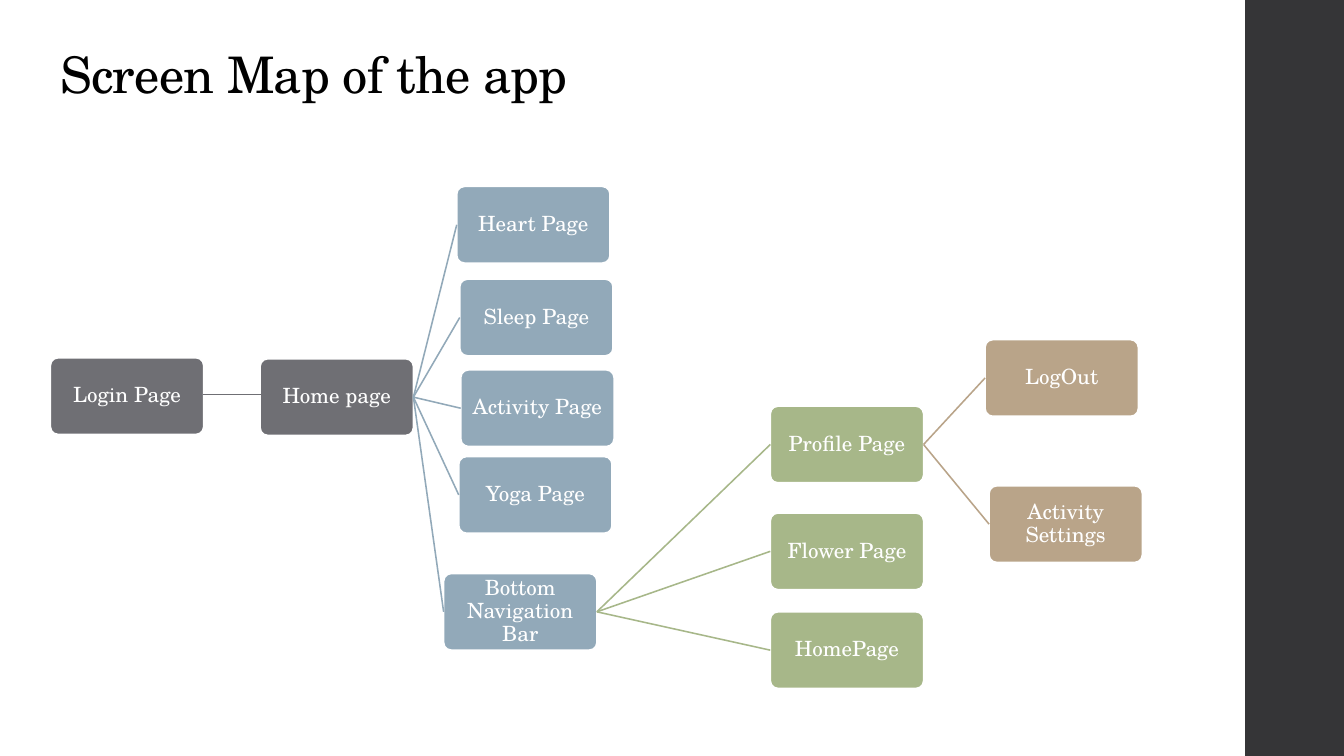
from dataclasses import dataclass

from lxml.etree import SubElement as SubEl
from pptx import Presentation as Deck
from pptx.dml.color import RGBColor as Rgb
from pptx.enum.shapes import MSO_CONNECTOR as Wire, MSO_SHAPE as Form
from pptx.enum.text import MSO_ANCHOR as Anchor, PP_ALIGN as Align
from pptx.oxml.ns import qn
from pptx.util import Emu, Pt

PX = 9144
WIDE, HIGH = 1333, 750
BOX_W, BOX_H = 152, 76


@dataclass(frozen=True)
class Theme:
    font: str = "TeX Gyre Schola"
    ink: str = "000000"
    white: str = "FFFFFF"
    band: str = "353537"
    gray: str = "6F6F74"
    blue: str = "92A9B9"
    green: str = "A7B789"
    tan: str = "B9A489"
    title: int = 36
    label: int = 15
    edge: float = 1.1
    thin: float = 0.75
    lead: float = 0.9


def px(*sizes):
    return [Emu(size * PX) for size in sizes]


class Sketch:
    def __init__(self, slide, theme):
        self.shapes = slide.shapes
        self.theme = theme

    def words(self, frame, text, size, color, align):
        para = frame.paragraphs[0]
        para.alignment = align
        para.line_spacing = self.theme.lead
        run = para.add_run()
        run.text = text
        font = para.font
        font.name = self.theme.font
        font.size = Pt(size)
        font.color.rgb = Rgb.from_string(color)
        return run

    def title(self, text, *area):
        frame = self.shapes.add_textbox(*px(*area)).text_frame
        frame.word_wrap = True
        frame.vertical_anchor = Anchor.BOTTOM
        theme = self.theme
        run = self.words(frame, text, theme.title, theme.ink, Align.LEFT)
        run.font._element.set("spc", "-50")

    def block(self, form, color, *area):
        shape = self.shapes.add_shape(form, *px(*area))
        shape.shadow.inherit = False
        shape.fill.solid()
        shape.fill.fore_color.rgb = Rgb.from_string(color)
        shape.line.fill.background()
        return shape

    def page(self, text, color, left, top):
        theme = self.theme
        shape = self.block(Form.ROUNDED_RECTANGLE, color, left, top, BOX_W, BOX_H)
        shape.adjustments[0] = 0.1
        shape.line.color.rgb = Rgb.from_string(theme.white)
        shape.line.width = Pt(theme.edge)
        frame = shape.text_frame
        frame.word_wrap = True
        frame.vertical_anchor = Anchor.MIDDLE
        (inset,) = px(3)
        frame.margin_left = frame.margin_right = inset
        frame.margin_top = frame.margin_bottom = inset
        self.words(frame, text, theme.label, theme.white, Align.CENTER)
        return shape

    def line(self, color, width, *ends):
        wire = self.shapes.add_connector(Wire.STRAIGHT, *px(*ends))
        wire.line.color.rgb = Rgb.from_string(color)
        wire.line.width = Pt(width)
        SubEl(wire._element.spPr, qn("a:effectLst"))
        return wire

    def link(self, start, end, color):
        wire = self.line(color, self.theme.edge, 0, 0, 0, 0)
        wire.begin_connect(start, 3)
        wire.end_connect(end, 1)


def main():
    deck = Deck()
    deck.slide_width, deck.slide_height = px(WIDE, HIGH)
    theme = Theme()
    sketch = Sketch(deck.slides.add_slide(deck.slide_layouts[6]), theme)

    sketch.block(Form.RECTANGLE, theme.band, 1235, 0, WIDE - 1235, HIGH)
    sketch.title("Screen Map of the app", 50, 26, 1060, 83)

    pages = [
        ("Login Page", None, theme.gray, 50, 355),
        ("Home page", None, theme.gray, 258, 356),
        ("Heart Page", "Home page", theme.blue, 453, 185),
        ("Sleep Page", "Home page", theme.blue, 456, 277),
        ("Activity Page", "Home page", theme.blue, 457, 367),
        ("Yoga Page", "Home page", theme.blue, 455, 453),
        ("Bottom Navigation Bar", "Home page", theme.blue, 440, 569),
        ("Profile Page", "Bottom Navigation Bar", theme.green, 764, 403),
        ("LogOut", "Profile Page", theme.tan, 977, 337),
        ("Activity Settings", "Profile Page", theme.tan, 981, 482),
        ("Flower Page", "Bottom Navigation Bar", theme.green, 764, 509),
        ("HomePage", "Bottom Navigation Bar", theme.green, 764, 607),
    ]
    drawn = {}
    for name, source, color, left, top in pages:
        drawn[name] = sketch.page(name, color, left, top)
        if source:
            sketch.link(drawn[source], drawn[name], color)
    sketch.line(theme.gray, theme.thin, 201, 391, 259, 391)

    deck.save("out.pptx")


if __name__ == "__main__":
    main()
